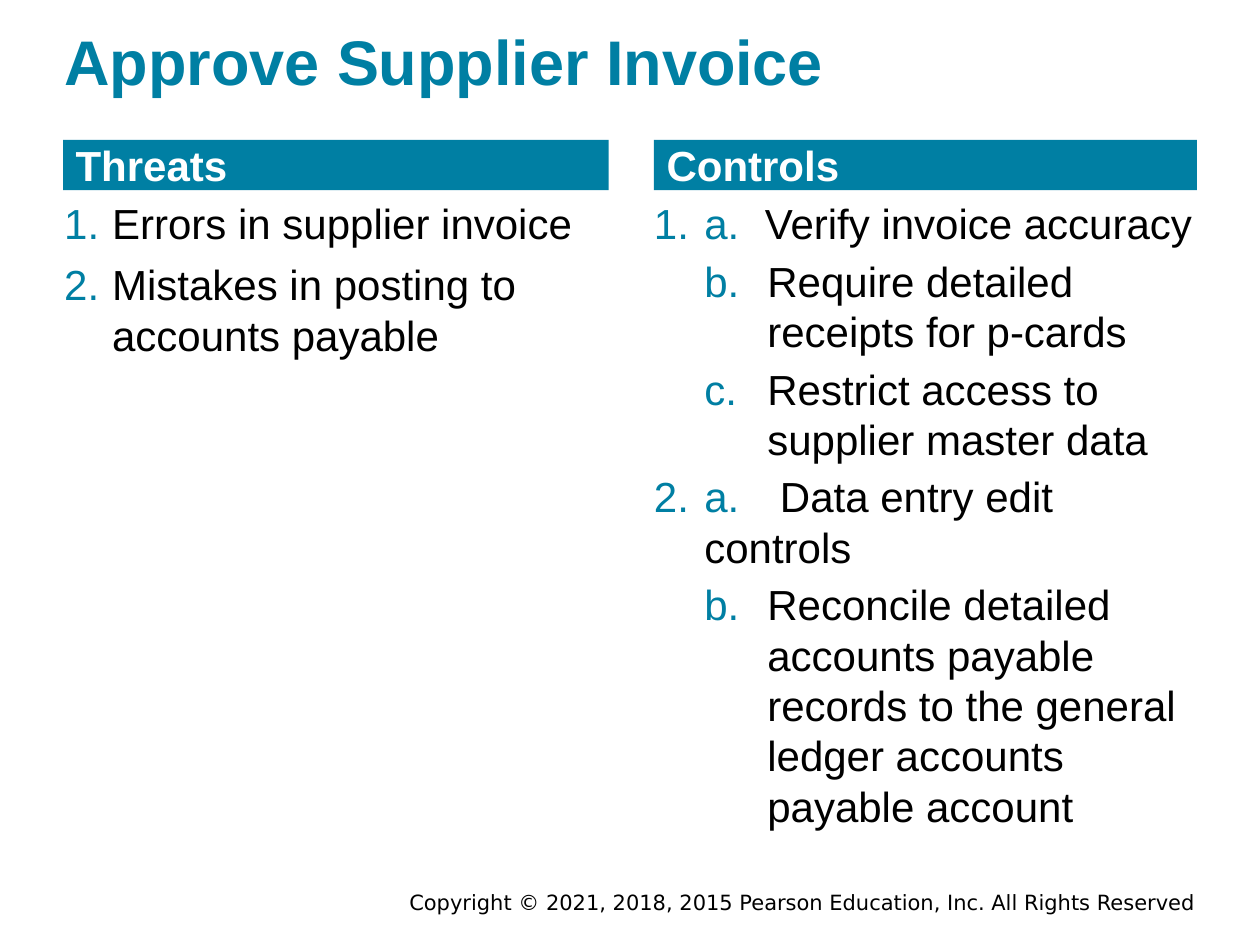
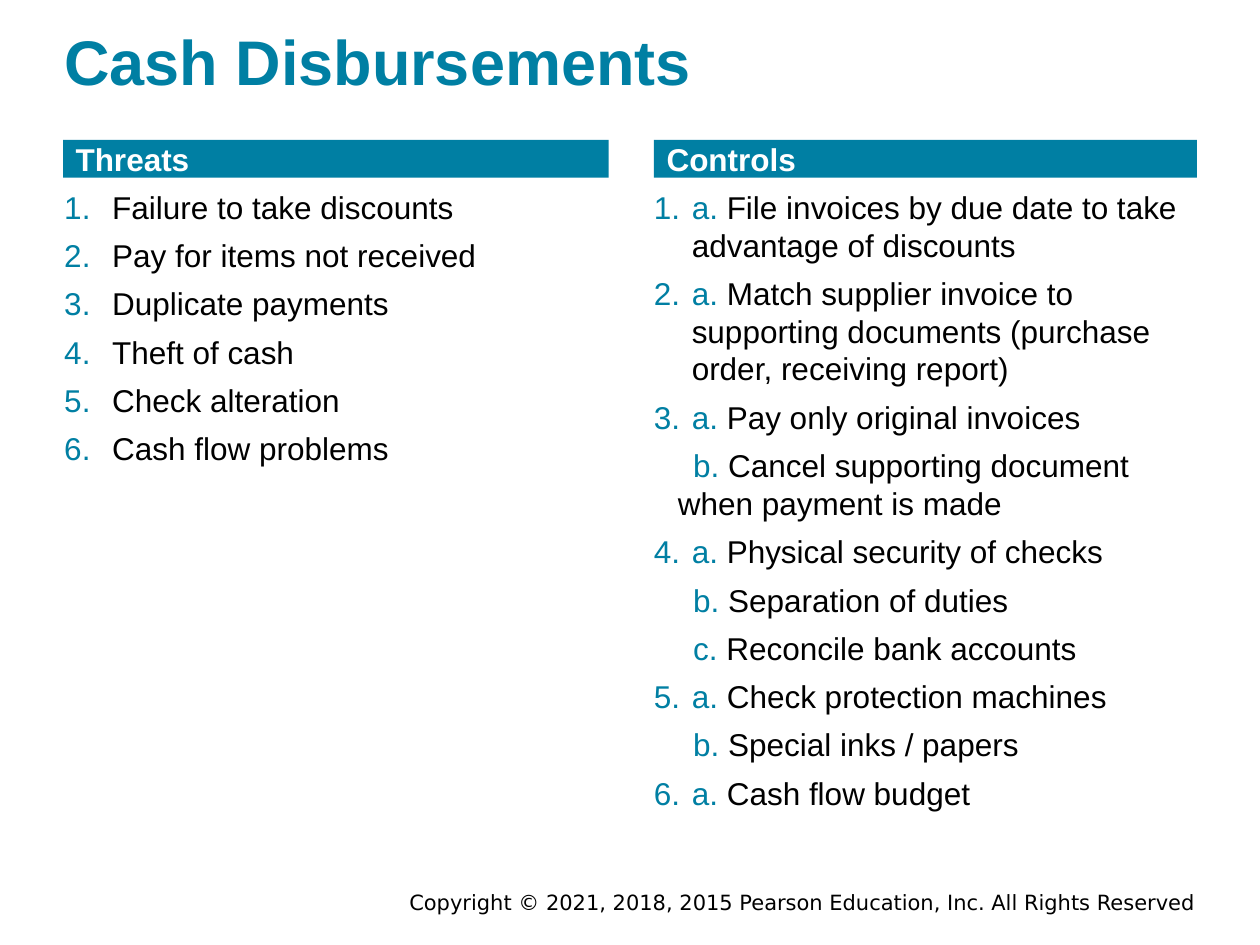
from lxml.etree import SubElement
from pptx import Presentation
from pptx.dml.color import RGBColor
from pptx.enum.text import MSO_ANCHOR, MSO_AUTO_SIZE, PP_ALIGN
from pptx.oxml.ns import qn
from pptx.util import Inches, Pt

TEAL = RGBColor(0x00, 0x7F, 0xA3)
BLACK = RGBColor(0, 0, 0)
WHITE = RGBColor(255, 255, 255)
COLS, ROWS = 100, 75
LEFT, RIGHT = (5, 43.3), (51.9, 43.1)
LIST_END = 67
NOTICE = "Copyright © 2021, 2018, 2015 Pearson Education, Inc. All Rights Reserved"


def write(para, text, size=24, color=BLACK, bold=False, font="Arial"):
    run = para.add_run()
    run.text = text
    run.font.size = Pt(size)
    run.font.color.rgb = color
    run.font.bold = bold
    run.font.name = font


def indent(para, margin, first):
    props = para._p.get_or_add_pPr()
    props.set("marL", str(Inches(margin)))
    props.set("indent", str(Inches(first)))
    return props


def mark(para, start=None, tab=None):
    """Number the paragraph, from start if given, and set a tab stop."""
    props = para._p.get_or_add_pPr()
    tint = SubElement(props, qn("a:buClr"))
    SubElement(tint, qn("a:srgbClr"), val=str(TEAL))
    num = SubElement(props, qn("a:buAutoNum"), type="arabicPeriod")
    if start:
        num.set("startAt", str(start))
    if tab:
        stops = SubElement(props, qn("a:tabLst"))
        SubElement(stops, qn("a:tab"), pos=str(Inches(tab)), algn="l")


class Deck:
    """Holds the shared style and the current slide."""

    def __init__(self):
        self.prs = Presentation()
        self.prs.slide_width, self.prs.slide_height = Inches(10), Inches(7.5)
        self.col = self.prs.slide_width / COLS
        self.row = self.prs.slide_height / ROWS

    def page(self, title, size):
        self.slide = self.prs.slides.add_slide(self.prs.slide_layouts[5 - 1])
        self.size = size
        self.band = size / 60 * 10
        self.top = 11.1 + self.band + (0.6 if size > 20 else 0.8)
        frame = self.place(self.slide.shapes.title, 5.1, 1.7, 90, 6.1)
        frame.vertical_anchor = MSO_ANCHOR.MIDDLE
        para = frame.paragraphs[0]
        para.alignment = PP_ALIGN.LEFT
        write(para, title, size=36, color=TEAL, bold=True)
        self.foot()

    def place(self, shape, x, y, w, h):
        """Move a shape on the grid and return its cleared text frame."""
        shape.left, shape.width = int(x * self.col), int(w * self.col)
        shape.top, shape.height = int(y * self.row), int(h * self.row)
        frame = shape.text_frame
        frame.word_wrap = True
        frame.auto_size = MSO_AUTO_SIZE.NONE
        frame.vertical_anchor = MSO_ANCHOR.TOP
        frame.margin_left = frame.margin_right = 0
        frame.margin_top = frame.margin_bottom = 0
        return frame

    def foot(self):
        box = self.slide.shapes.add_textbox(0, 0, 0, 0)
        para = self.place(box, 30, 70.6, 64.9, 2.2).paragraphs[0]
        para.alignment = PP_ALIGN.RIGHT
        write(para, NOTICE, size=12, font="DejaVu Sans")

    def head(self, slot, text, x, w):
        shape = self.slide.placeholders[slot]
        shape.fill.solid()
        shape.fill.fore_color.rgb = TEAL
        para = self.place(shape, x, 11.1, w, self.band).paragraphs[0]
        para.space_before = Pt(0)
        indent(para, 0, 0.1)
        write(para, text, size=self.size, color=WHITE, bold=True)

    def body(self, slot, x, w):
        shape = self.slide.placeholders[slot]
        return self.place(shape, x, self.top, w, LIST_END - self.top)

    def line(self, frame, gap):
        """Return the next paragraph; the first one has no gap above."""
        first = not frame.paragraphs[0].runs
        para = frame.paragraphs[0] if first else frame.add_paragraph()
        para.space_before = Pt(0 if first else gap)
        return para

    def threats(self, items):
        x, w = LEFT
        self.head(1, "Threats", x, w)
        frame = self.body(2, x + 0.1, w)
        for item in items:
            para = self.line(frame, 6)
            indent(para, 0.38, -0.38)
            mark(para)
            write(para, item, size=self.size)

    def controls(self, groups, gap, hang, sub, sep, tab=None):
        """Number the groups and letter the items within each."""
        self.head(3, "Controls", *RIGHT)
        frame = self.body(4, *RIGHT)
        start = None
        for num, group in enumerate(groups, 1):
            for letter, item in zip("abc", group):
                para = self.line(frame, gap)
                if letter == "a":
                    indent(para, hang, -hang)
                    mark(para, start, tab if num == 1 else None)
                else:
                    SubElement(indent(para, *sub), qn("a:buNone"))
                write(para, letter + ".", size=self.size, color=TEAL)
                write(para, sep + item, size=self.size)
            start = num + 1 if len(group) > 1 else None


def main():
    deck = Deck()
    deck.page("Approve Supplier Invoice", 24)
    deck.threats(["Errors in supplier invoice",
                  "Mistakes in posting to accounts payable"])
    deck.controls([
        ["Verify invoice accuracy",
         "Require detailed receipts for p-cards",
         "Restrict access to supplier master data"],
        ["Data entry edit controls",
         "Reconcile detailed accounts payable records to the general "
         "ledger accounts payable account"],
    ], gap=4, hang=0.4, sub=(0.9, -0.5), sep="\t", tab=0.88)

    deck.page("Cash Disbursements", 18)
    deck.threats(["Failure to take discounts", "Pay for items not received",
                  "Duplicate payments", "Theft of cash",
                  "Check alteration", "Cash flow problems"])
    deck.controls([
        ["File invoices by due date to take advantage of discounts"],
        ["Match supplier invoice to supporting documents "
         "(purchase order, receiving report)"],
        ["Pay only original invoices",
         "Cancel supporting document when payment is made"],
        ["Physical security of checks", "Separation of duties",
         "Reconcile bank accounts"],
        ["Check protection machines", "Special inks / papers"],
        ["Cash flow budget"],
    ], gap=6, hang=0.3, sub=(0.19, 0.12), sep=" ")
    deck.prs.save("out.pptx")


if __name__ == "__main__":
    main()
